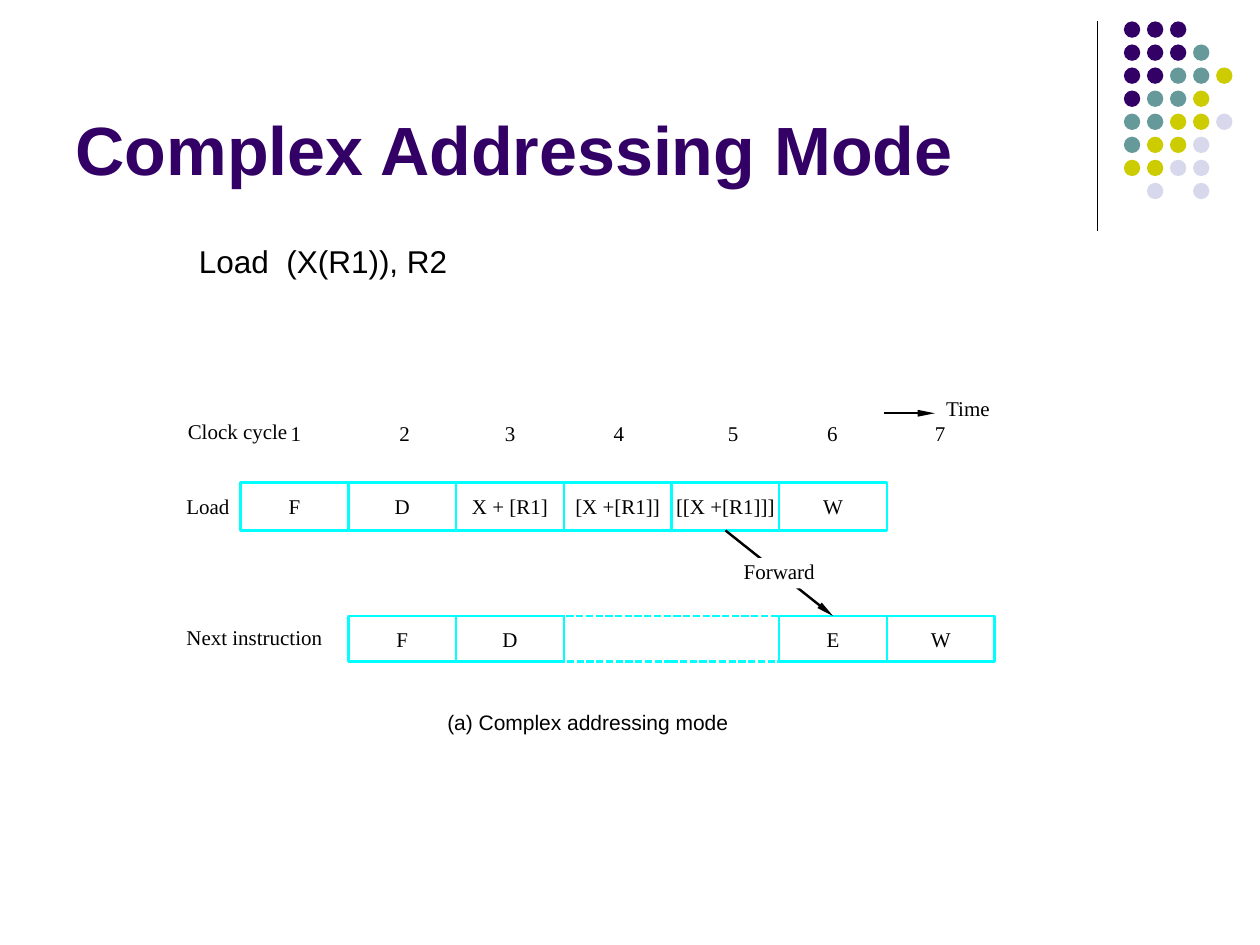
from lxml import etree
from pptx import Presentation, util as u
from pptx.dml.color import RGBColor
from pptx.enum import dml, shapes, text
from pptx.oxml.ns import qn

INK, CYAN, WHITE, PURPLE = "000000", "00FFFF", "FFFFFF", "330066"
SERIF, SANS = "Times New Roman", "Arial"
STROKE = 1.39
colour = RGBColor.from_string


def block(kind, left, top, width, height, fill=None, line=None):
    shape = slide.shapes.add_shape(
        kind, u.Inches(left), u.Inches(top), u.Inches(width), u.Inches(height))
    shape.shadow.inherit = False
    for part, hue in ((shape.fill, fill), (shape.line.fill, line)):
        if hue:
            part.solid()
            part.fore_color.rgb = colour(hue)
        else:
            part.background()
    if line:
        shape.line.width = u.Pt(STROKE)
    return shape


def write(frame, words, size=12, font=SERIF, hue=INK, inset=(0, 0),
          align=text.PP_ALIGN.LEFT, anchor=text.MSO_ANCHOR.TOP):
    frame.word_wrap = False
    frame.auto_size = text.MSO_AUTO_SIZE.NONE
    frame.vertical_anchor = anchor
    frame.margin_left = frame.margin_right = u.Inches(inset[0])
    frame.margin_top = frame.margin_bottom = u.Inches(inset[1])
    paragraph = frame.paragraphs[0]
    paragraph.alignment = align
    run = paragraph.add_run()
    run.text = words
    run.font.size, run.font.name = u.Pt(size), font
    run.font.color.rgb = colour(hue)
    return run


deck = Presentation()
deck.slide_width, deck.slide_height = u.Inches(10), u.Inches(7.5)
slide = deck.slides.add_slide(deck.slide_layouts[5])

# Title
title = slide.shapes.title
title.left, title.top = u.Inches(0.5), u.Inches(0.13)
title.width, title.height = u.Inches(8.25), u.Inches(1.42)
write(title.text_frame, "Complex Addressing Mode", 39, SANS, PURPLE,
      inset=(0.1, 0.05), anchor=text.MSO_ANCHOR.BOTTOM).font.bold = True

# Corner dots, one letter per colour
dot_hues = {"p": PURPLE, "t": "669999", "y": "CCCC00", "l": "D8D8EC"}
dot_rows = ["ppp", "pppt", "pptty", "ptty", "ttyyl", "tyyl", "yyll", " l l"]
for row, letters in enumerate(dot_rows):
    for col, letter in enumerate(letters):
        if letter in dot_hues:
            block(shapes.MSO_SHAPE.OVAL, 8.92 + 0.183 * col, 0.17 + 0.183 * row,
                  0.13, 0.13, dot_hues[letter])

# Pipeline: one column per clock cycle
grid_left, cycle = 1.91, 0.855
load_top, load_height = 3.83, 0.38
next_top, next_height = 4.89, 0.36

stall = block(shapes.MSO_SHAPE.RECTANGLE, grid_left + 3 * cycle, next_top,
              2 * cycle, next_height, line=CYAN)
stall.line.dash_style = dml.MSO_LINE.SQUARE_DOT

load_stages = enumerate(["F", "D", "X + [R1]", "[X +[R1]]", "[[X +[R1]]]", "W"])
next_stages = [(1, "F"), (2, "D"), (5, "E"), (6, "W")]
stage_boxes = {}
for name, top, height, stages in (
        ("load", load_top, load_height, load_stages),
        ("next", next_top, next_height, next_stages)):
    for col, stage in stages:
        box = block(shapes.MSO_SHAPE.RECTANGLE, grid_left + col * cycle, top,
                    cycle, height, line=CYAN)
        write(box.text_frame, stage, align=text.PP_ALIGN.CENTER,
              anchor=text.MSO_ANCHOR.MIDDLE)
        stage_boxes[name, col] = box

# Divider, time arrow and forwarding arrow
for x1, y1, x2, y2, width, has_head, joined in (
        (8.71, 0.17, 8.71, 1.83, 0.75, False, None),
        (7.02, 3.28, 7.42, 3.28, STROKE, True, None),
        (5.76, 4.21, 6.58, 4.89, STROKE, True, (("load", 4), ("next", 5)))):
    rule = slide.shapes.add_connector(
        shapes.MSO_CONNECTOR.STRAIGHT,
        u.Inches(x1), u.Inches(y1), u.Inches(x2), u.Inches(y2))
    rule.line.color.rgb = colour(INK)
    rule.line.width = u.Pt(width)
    if joined:
        rule.begin_connect(stage_boxes[joined[0]], 2)
        rule.end_connect(stage_boxes[joined[1]], 0)
    properties = rule.element.spPr
    if has_head:
        etree.SubElement(properties.find(qn("a:ln")), qn("a:tailEnd"),
                         type="triangle", w="sm", len="lg")
    etree.SubElement(properties, qn("a:effectLst"))

forward = block(shapes.MSO_SHAPE.RECTANGLE, 5.8, 4.43, 0.77, 0.24, WHITE)
write(forward.text_frame, "Forward", align=text.PP_ALIGN.CENTER)

# Cycle numbers, centred at these shares of the column grid
cycle_centres = [0.51, 1.52, 2.5, 3.51, 4.57, 5.49, 6.49]
labels = [(str(number), grid_left + centre * cycle - 0.04, 3.34, 0.08, SERIF)
          for number, centre in enumerate(cycle_centres, 1)]
labels += [
    ("Clock cycle", 1.49, 3.32, 0.78, SERIF),
    ("Time", 7.51, 3.14, 0.37, SERIF),
    ("Load", 1.48, 3.92, 0.34, SERIF),
    ("Next instruction", 1.48, 4.96, 1.09, SERIF),
    ("(a) Complex addressing mode", 3.55, 5.63, 2.23, SANS),
]
for words, left, top, width, font in labels:
    label = slide.shapes.add_textbox(
        u.Inches(left), u.Inches(top), u.Inches(width), u.Inches(0.2))
    write(label.text_frame, words, font=font)

instruction = slide.shapes.add_textbox(
    u.Inches(1.48), u.Inches(1.87), u.Inches(2.17), u.Inches(0.4))
write(instruction.text_frame, "Load  (X(R1)), R2", 18, SANS, inset=(0.1, 0.05))

deck.save("out.pptx")
